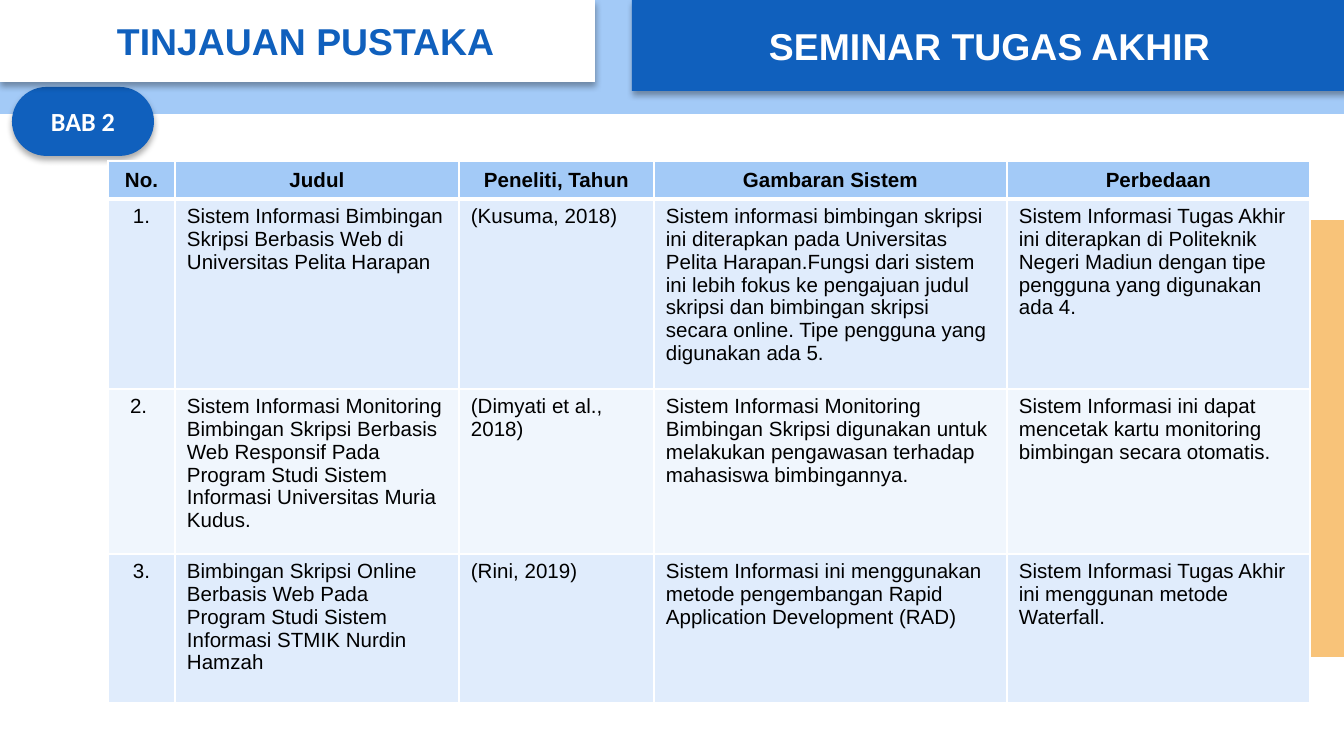
from dataclasses import dataclass

import pptx
import pptx.dml.color
import pptx.enum.shapes
import pptx.enum.text
import pptx.oxml
import pptx.oxml.ns
import pptx.util

EMU_PER_PX = 914400 / 134.4
SHAPE = pptx.enum.shapes.MSO_SHAPE
ALIGN = pptx.enum.text.PP_ALIGN
ANCHOR = pptx.enum.text.MSO_ANCHOR


@dataclass(frozen=True)
class Theme:
    blue: str = "1060BD"
    sky: str = "A3CAF7"
    orange: str = "F8C379"
    white: str = "FFFFFF"
    black: str = "000000"
    bands: tuple = ("E0ECFC", "F0F6FD")
    heading_font: str = "Arial"
    badge_font: str = "Calibri"
    heading_size: int = 20
    badge_size: int = 14
    table_size: int = 11


THEME = Theme()
TABLE_LEFT, TABLE_TOP = 108, 161
COLUMN_WIDTHS = (67, 284, 195, 353, 303)
ROW_HEIGHTS = (38, 190, 165, 149)
HEADERS = ("No.", "Judul", "Peneliti, Tahun", "Gambaran Sistem", "Perbedaan")
STUDIES = (
    ("1.",
     "Sistem Informasi Bimbingan Skripsi Berbasis Web di Universitas Pelita Harapan",
     "(Kusuma, 2018)",
     "Sistem informasi bimbingan skripsi ini diterapkan pada Universitas Pelita "
     "Harapan.Fungsi dari sistem ini lebih fokus ke pengajuan judul skripsi dan "
     "bimbingan skripsi secara online. Tipe pengguna yang digunakan ada 5.",
     "Sistem Informasi Tugas Akhir ini diterapkan di Politeknik Negeri Madiun "
     "dengan tipe pengguna yang digunakan ada 4."),
    ("2. ",
     "Sistem Informasi Monitoring Bimbingan Skripsi Berbasis Web Responsif Pada "
     "Program Studi Sistem Informasi Universitas Muria Kudus.",
     "(Dimyati et al., 2018)",
     "Sistem Informasi Monitoring Bimbingan Skripsi digunakan untuk melakukan "
     "pengawasan terhadap mahasiswa bimbingannya.",
     "Sistem Informasi ini dapat mencetak kartu monitoring bimbingan secara otomatis."),
    ("3.",
     "Bimbingan Skripsi Online Berbasis Web Pada Program Studi Sistem Informasi "
     "STMIK Nurdin Hamzah",
     "(Rini, 2019)",
     "Sistem Informasi ini menggunakan metode pengembangan Rapid Application "
     "Development (RAD)",
     "Sistem Informasi Tugas Akhir ini menggunan metode Waterfall."),
)


def px(length):
    return pptx.util.Emu(round(length * EMU_PER_PX))


def rgb(value):
    return pptx.dml.color.RGBColor.from_string(value)


def set_attributes(target, values):
    for name, value in values.items():
        setattr(target, name, value)


def append_xml(parent, tag, content="", attributes=""):
    namespace = pptx.oxml.ns.nsdecls("a")
    parent.append(pptx.oxml.parse_xml(
        f"<a:{tag} {namespace} {attributes}>{content}</a:{tag}>"))


def write_text(frame, text, color, size, font, bold=True, align=ALIGN.CENTER):
    frame.text = text
    paragraph = frame.paragraphs[0]
    paragraph.alignment = align
    set_attributes(paragraph.font, {
        "name": font, "size": pptx.util.Pt(size), "bold": bold})
    paragraph.font.color.rgb = rgb(color)


def paint(shape, color):
    shape.shadow.inherit = False
    shape.fill.solid()
    shape.fill.fore_color.rgb = rgb(color)
    shape.line.fill.background()


def add_block(slide, kind, box, color, adjustments=()):
    shape = slide.shapes.add_shape(kind, *map(px, box))
    for index, value in enumerate(adjustments):
        shape.adjustments[index] = value
    paint(shape, color)
    return shape


def add_soft_shadow(shape):
    effects = shape._element.spPr.find(pptx.oxml.ns.qn("a:effectLst"))
    append_xml(
        effects, "outerShdw",
        f'<a:srgbClr val="{THEME.black}"><a:alpha val="32000"/></a:srgbClr>',
        'blurRad="44450" dist="27940" dir="5400000" algn="t" rotWithShape="0"')


def add_label(slide, kind, box, text, size, font, adjustments=()):
    shape = add_block(slide, kind, box, THEME.blue, adjustments)
    add_soft_shadow(shape)
    shape.text_frame.vertical_anchor = ANCHOR.MIDDLE
    write_text(shape.text_frame, text, THEME.white, size, font)


def place_title(slide, box, text):
    """Turn the title placeholder into a white card with round lower corners."""
    title = slide.shapes.title
    set_attributes(title, dict(zip(("left", "top", "width", "height"), map(px, box))))
    append_xml(
        title._element.spPr, "prstGeom",
        '<a:avLst><a:gd name="adj1" fmla="val 0"/>'
        '<a:gd name="adj2" fmla="val 50000"/></a:avLst>',
        'prst="round2SameRect"')
    paint(title, THEME.white)
    add_soft_shadow(title)
    set_attributes(title.text_frame, {
        "auto_size": pptx.enum.text.MSO_AUTO_SIZE.NONE,
        "word_wrap": True,
        "vertical_anchor": ANCHOR.MIDDLE,
        "margin_left": px(117)})
    write_text(title.text_frame, text, THEME.blue, THEME.heading_size,
               THEME.heading_font, align=ALIGN.LEFT)
    slide.shapes._spTree.append(title._element)


def set_borders(cell, widths):
    """Draw white borders; widths maps L, R, T and B to points."""
    properties = cell._tc.get_or_add_tcPr()
    for index, (side, width) in enumerate(widths.items()):
        line = pptx.oxml.parse_xml(
            f'<a:ln{side} {pptx.oxml.ns.nsdecls("a")} w="{pptx.util.Pt(width)}">'
            f'<a:solidFill><a:srgbClr val="{THEME.white}"/></a:solidFill></a:ln{side}>')
        properties.insert(index, line)


def format_cell(cell, text, row, column):
    is_header = row == 0
    centered = is_header or column == 0
    set_attributes(cell, {
        "margin_left": px(12), "margin_right": px(12),
        "margin_top": px(6), "margin_bottom": px(6),
        "vertical_anchor": ANCHOR.MIDDLE if is_header else ANCHOR.TOP})
    write_text(cell.text_frame, text, THEME.black, THEME.table_size,
               THEME.heading_font, is_header, ALIGN.CENTER if centered else ALIGN.LEFT)
    cell.fill.solid()
    cell.fill.fore_color.rgb = rgb(
        THEME.sky if is_header else THEME.bands[(row - 1) % 2])
    set_borders(cell, {"L": 1, "R": 1, "T": 3 if row == 1 else 1,
                       "B": 3 if is_header else 1})


def add_study_table(slide):
    rows = (HEADERS, *STUDIES)
    table = slide.shapes.add_table(
        len(rows), len(HEADERS), px(TABLE_LEFT), px(TABLE_TOP),
        px(sum(COLUMN_WIDTHS)), px(sum(ROW_HEIGHTS))).table
    table.horz_banding = False
    for column, width in zip(table.columns, COLUMN_WIDTHS):
        column.width = px(width)
    for table_row, height in zip(table.rows, ROW_HEIGHTS):
        table_row.height = px(height)
    for row, texts in enumerate(rows):
        for column, text in enumerate(texts):
            format_cell(table.cell(row, column), text, row, column)


def main():
    presentation = pptx.Presentation()
    set_attributes(presentation, {"slide_width": px(1344), "slide_height": px(756)})
    slide = presentation.slides.add_slide(presentation.slide_layouts[5])
    add_block(slide, SHAPE.RECTANGLE, (672, 220, 672, 437), THEME.orange)
    add_block(slide, SHAPE.RECTANGLE, (0, 0, 1344, 114), THEME.sky)
    add_label(slide, SHAPE.ROUNDED_RECTANGLE, (12, 87, 142, 69), "BAB 2",
              THEME.badge_size, THEME.badge_font, (0.5,))
    place_title(slide, (0, 0, 595, 82), "TINJAUAN PUSTAKA")
    add_label(slide, SHAPE.ROUND_2_SAME_RECTANGLE, (632, 0, 715, 91),
              "SEMINAR TUGAS AKHIR", THEME.heading_size, THEME.heading_font, (0, 0))
    add_study_table(slide)
    presentation.save("out.pptx")


if __name__ == "__main__":
    main()
